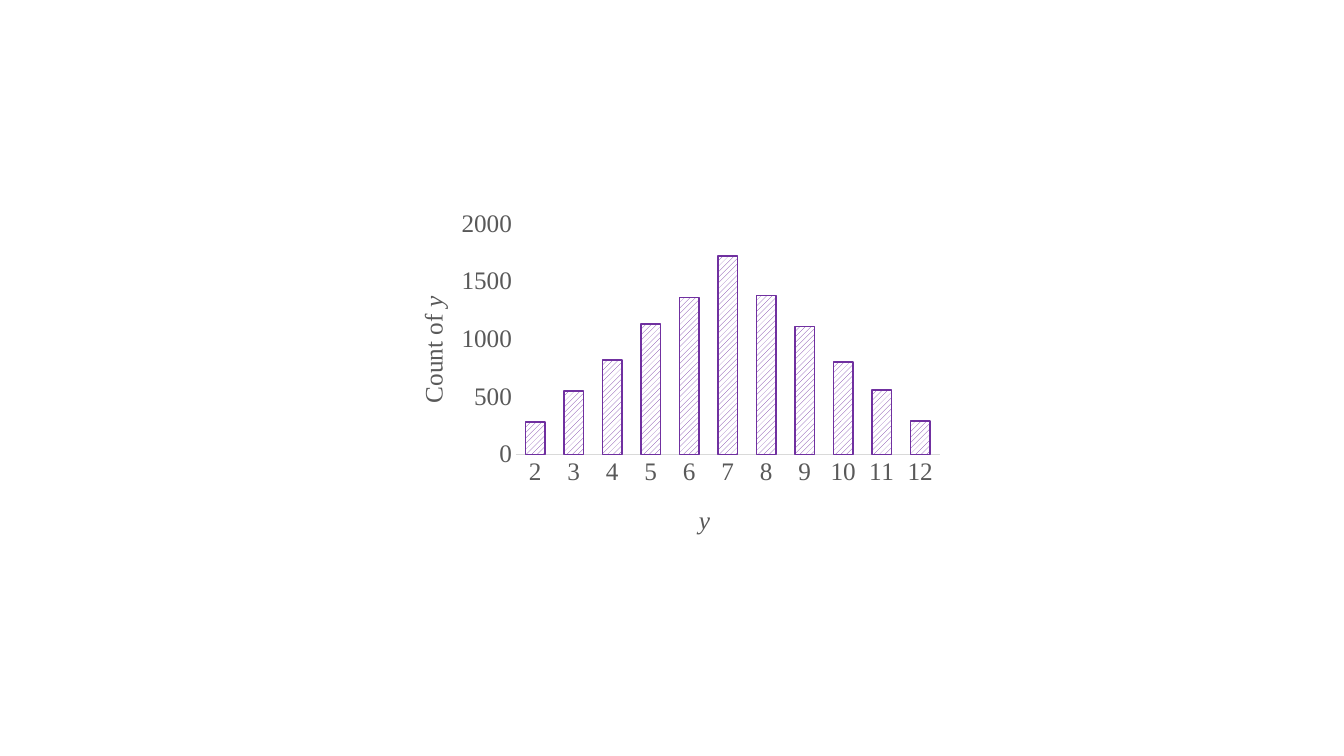
from lxml.etree import SubElement
from pptx import Presentation
from pptx.chart.data import CategoryChartData
from pptx.dml.color import RGBColor
from pptx.enum.chart import XL_CHART_TYPE as ChartType, XL_TICK_MARK as TickMark
from pptx.enum.dml import MSO_PATTERN as Pattern
from pptx.oxml.ns import qn
from pptx.oxml.xmlchemy import OxmlElement
from pptx.util import Cm, Pt

COLORS = {"bars": "7030A0", "paper": "FFFFFF", "text": "595959", "axis": "D9D9D9"}
FONT = "Times New Roman"
COUNTS = [280, 550, 820, 1130, 1360, 1720, 1380, 1110, 800, 560, 290]


def rgb(name):
    return RGBColor.from_string(COLORS[name])


def format_font(font, size=18, color="text", italic=False):
    font.name = FONT
    font.size = Pt(size)
    font.bold = False
    font.italic = italic
    font.color.rgb = rgb(color)


def add_text(paragraph, text, **font_format):
    run = paragraph.add_run()
    run.text = text
    format_font(run.font, **font_format)


def set_layout(element, index, **values):
    """Place a chart part by fractions of the chart's size."""
    layout = element.find(qn("c:layout"))
    if layout is None:
        layout = OxmlElement("c:layout")
        element.insert(index, layout)
    manual = SubElement(layout, qn("c:manualLayout"))
    for name, value in values.items():
        SubElement(manual, qn(f"c:{name}")).set("val", str(value))


def add_axis_title(axis, runs, x, y, rotation=0):
    """Write (text, italic) runs as the axis title, turned by degrees."""
    title = axis.axis_title
    paragraph = title.text_frame.paragraphs[0]
    for text, italic in runs:
        add_text(paragraph, text, italic=italic)
    body = title.element.find(f".//{qn('a:bodyPr')}")
    body.set("rot", str(rotation * 60000))
    body.set("vert", "horz")
    set_layout(title.element, 1, xMode="edge", yMode="edge", x=x, y=y)


def style_axis(axis):
    axis.has_major_gridlines = False
    axis.major_tick_mark = axis.minor_tick_mark = TickMark.NONE
    format_font(axis.tick_labels.font)


def style_bars(plot):
    plot.gap_width = 96
    plot.vary_by_categories = False
    bar_format = plot.series[0].format
    bar_format.fill.patterned()
    bar_format.fill.pattern = Pattern.WIDE_UPWARD_DIAGONAL
    bar_format.fill.fore_color.rgb = rgb("bars")
    bar_format.fill.back_color.rgb = rgb("paper")
    bar_format.line.color.rgb = rgb("bars")
    bar_format.line.width = Pt(1)


def add_histogram(slide):
    data = CategoryChartData()
    data.categories = [str(total) for total in range(2, 13)]
    data.add_series("Series 1", COUNTS)
    chart = slide.shapes.add_chart(
        ChartType.COLUMN_CLUSTERED, Cm(9.91), Cm(5.11), Cm(14.05), Cm(8.81), data
    ).chart
    chart.has_legend = False
    chart.has_title = False
    format_font(chart.font)
    style_bars(chart.plots[0])

    categories, values = chart.category_axis, chart.value_axis
    for axis in (categories, values):
        style_axis(axis)
    categories.format.line.color.rgb = rgb("axis")
    categories.format.line.width = Pt(0.75)
    values.format.line.fill.background()
    values.minimum_scale, values.maximum_scale, values.major_unit = 0, 2000, 500

    add_axis_title(categories, [("y", True)], x=0.54, y=0.85)
    add_axis_title(
        values, [("Count of ", False), ("y", True)], x=0.04, y=0.26, rotation=-90
    )
    plot_area = chart.element.find(f".//{qn('c:plotArea')}")
    set_layout(plot_area, 0, layoutTarget="inner", xMode="edge", yMode="edge",
               x=0.22, y=0.06, w=0.76, h=0.66)


def main():
    presentation = Presentation()
    presentation.slide_width = Cm(33.87)
    presentation.slide_height = Cm(19.05)
    slide = presentation.slides.add_slide(presentation.slide_layouts[6])
    add_histogram(slide)
    presentation.save("out.pptx")


if __name__ == "__main__":
    main()
